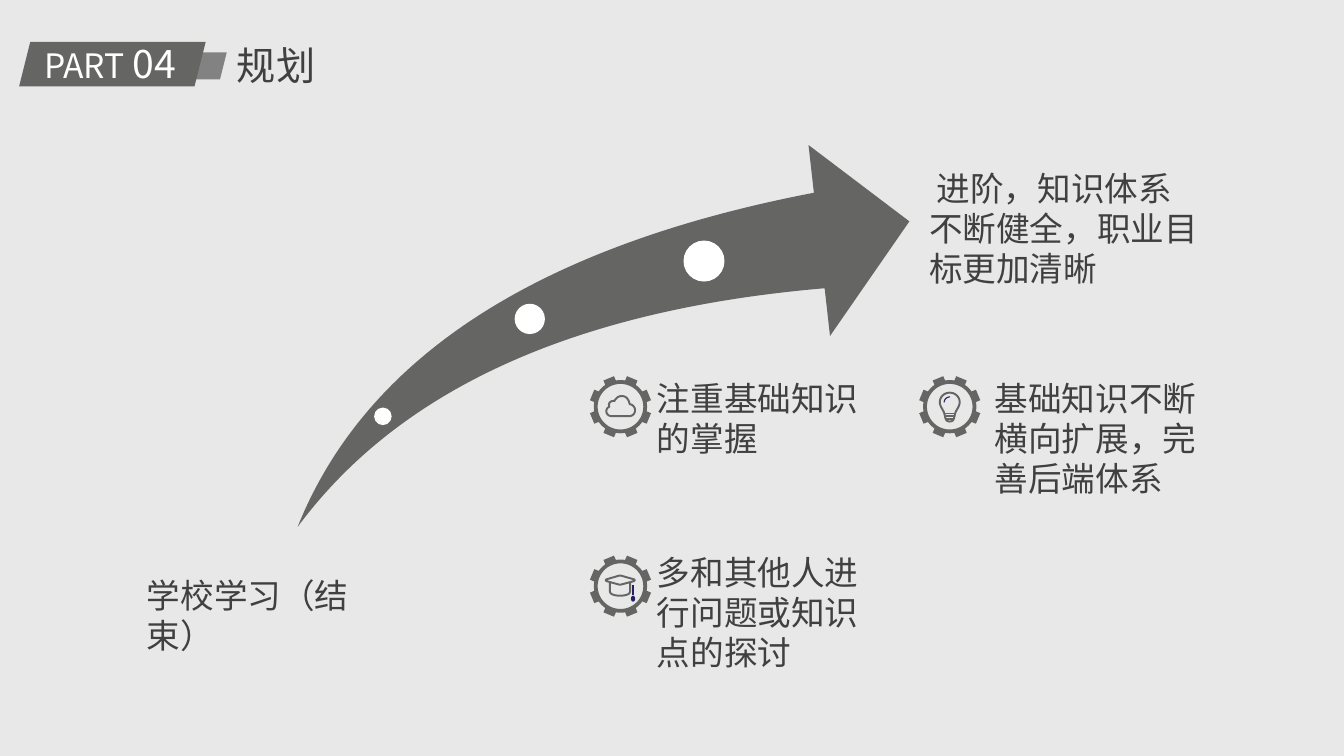
from math import cos, radians, sin

from lxml import etree
from pptx import Presentation
from pptx.dml.color import RGBColor
from pptx.enum.shapes import MSO_SHAPE
from pptx.enum.text import MSO_ANCHOR, MSO_AUTO_SIZE, PP_ALIGN
from pptx.oxml.ns import qn
from pptx.util import Pt

PARALLELOGRAM = MSO_SHAPE.PARALLELOGRAM
ELLIPSE = MSO_SHAPE.OVAL
SWOOSH = MSO_SHAPE.SWOOSH_ARROW
TOP = MSO_ANCHOR.TOP
NO_AUTOSIZE = MSO_AUTO_SIZE.NONE
LEFT = PP_ALIGN.LEFT

FONT = "Noto Sans CJK SC"
COLORS = {
    "background": "E8E8E8",
    "dark": "656564",
    "tab": "828282",
    "text": "404040",
    "white": "FFFFFF",
    "navy": "262261",
}
STROKE = 1.4

# Icon strokes are relative to the gear centre: a start point, then
# (x, y) for a line or (x1, y1, x2, y2, x, y) for a curve.
CLOUD = [
    (-6.1, 6.8), (6.1, 6.8),
    (8.6, 6.8, 10.4, 5, 10.4, 2.7),
    (10.4, 0.4, 9, -1.4, 6.5, -1.8),
    (6.1, -5, 4, -7.6, 1.1, -7.6),
    (-1.4, -7.6, -3.2, -6.2, -4.3, -4),
    (-6.5, -4.6, -9.2, -2.6, -7.9, 0),
    (-9.4, 0.8, -10.1, 2, -10.1, 3.2),
    (-10.1, 5.4, -8.3, 6.8, -6.1, 6.8),
]
BULB = [
    (0, -10),
    (4, -10, 7.1, -7, 7.1, -3.2),
    (7.1, -0.2, 4.6, 2.2, 3.8, 5),
    (3.1, 8.5, 2.8, 10.6, 0, 10.6),
    (-2.8, 10.6, -3.1, 8.5, -3.8, 5),
    (-4.6, 2.2, -7.1, -0.2, -7.1, -3.2),
    (-7.1, -7, -4, -10, 0, -10),
]
BULB_RINGS = [(3.6, 4.8), (3, 6.8), (2.4, 8.8)]
BULB_GLINT = [(-4, -3), (-4, -5.2, -2, -7, 0.3, -7)]
CAP_BOARD = [
    (-9.6, -5), (-0.8, -7.6), (0.2, -7.6), (9.2, -5),
    (10.4, -4.7, 10.4, -3.9, 9.2, -3.5), (0.2, -1.1), (-0.8, -1.1),
    (-9.6, -3.5), (-10.8, -3.9, -10.8, -4.7, -9.6, -5),
]
CAP_BODY = [(-7.5, -2.6), (-7.5, 4), (-7.5, 7.8, 6.9, 7.8, 6.9, 4), (6.9, -2.6)]
CAP_TASSEL = [(9, -0.8), (9, 6)]


def color(name):
    return RGBColor.from_string(COLORS[name])


def paint(shape, fill):
    shape.shadow.inherit = False
    shape.fill.solid()
    shape.fill.fore_color.rgb = color(fill)
    shape.line.fill.background()


def add_preset(slide, kind, left, top, width, height, fill):
    shape = slide.shapes.add_shape(kind, Pt(left), Pt(top), Pt(width), Pt(height))
    paint(shape, fill)
    return shape


def add_milestone(slide, center_x, center_y, size):
    dot = add_preset(slide, ELLIPSE, center_x - size / 2, center_y - size / 2,
                     size, size, "white")
    dot.line.color.rgb = color("white")
    dot.line.width = Pt(1)


def format_text(shape, runs, ink):
    """Fill a text shape with one paragraph of (text, size) runs."""
    frame = shape.text_frame
    frame.word_wrap = True
    frame.auto_size = NO_AUTOSIZE
    frame.vertical_anchor = TOP
    frame.margin_top = Pt(4.6)
    frame.margin_bottom = Pt(3.6)
    paragraph = frame.paragraphs[0]
    paragraph.alignment = LEFT
    paragraph.line_spacing = Pt(1.2 * max(size for _, size in runs))
    for text, size in runs:
        run = paragraph.add_run()
        run.text = text
        run.font.size = Pt(size)
        run.font.color.rgb = color(ink)
        run.font.name = FONT
        east_asian = etree.SubElement(run.font._element, qn("a:ea"))
        east_asian.set("typeface", FONT)


def add_text(slide, left, top, width, height, runs, ink="text"):
    box = slide.shapes.add_textbox(Pt(left), Pt(top), Pt(width), Pt(height))
    format_text(box, runs, ink)


def flatten(steps, samples=10):
    """Turn a start point, lines and cubic curves into plain points."""
    points = [steps[0]]
    for step in steps[1:]:
        if len(step) == 2:
            points.append(step)
            continue
        x0, y0 = points[-1]
        x1, y1, x2, y2, x3, y3 = step
        for index in range(1, samples + 1):
            t = index / samples
            u = 1 - t
            a, b, c, d = u ** 3, 3 * u * u * t, 3 * u * t * t, t ** 3
            points.append((a * x0 + b * x1 + c * x2 + d * x3,
                           a * y0 + b * y1 + c * y2 + d * y3))
    return points


def add_outline(slide, center, contours, close):
    """Build one freeform from contours given relative to a centre."""
    placed = [[(Pt(center[0] + x), Pt(center[1] + y)) for x, y in contour]
              for contour in contours]
    builder = slide.shapes.build_freeform(*placed[0][0])
    builder.add_line_segments(placed[0][1:], close=close)
    for contour in placed[1:]:
        builder.move_to(*contour[0])
        builder.add_line_segments(contour[1:], close=close)
    return builder.convert_to_shape()


def add_stroke(slide, center, steps, ink="dark", width=STROKE):
    shape = add_outline(slide, center, [flatten(steps)], steps[0] == steps[-1][-2:])
    shape.shadow.inherit = False
    shape.fill.background()
    shape.line.color.rgb = color(ink)
    shape.line.width = Pt(width)


def polar(radius, degrees):
    return radius * cos(radians(degrees)), radius * sin(radians(degrees))


def add_gear(slide, center):
    """Draw a ring with eight teeth."""
    body, tip, hole = 19, 22.3, 16.3
    rim = []
    for tooth in range(8):
        middle = 22.5 + 45 * tooth
        profile = [(body, -12.5), (tip, -10.5), (tip, 10.5), (body, 12.5),
                   (body, 17.5), (body, 22.5), (body, 27.5)]
        rim += [polar(radius, middle + offset) for radius, offset in profile]
    inner = [polar(hole, -angle) for angle in range(0, 360, 6)]
    paint(add_outline(slide, center, [rim, inner], True), "dark")


def add_cloud(slide, center):
    add_stroke(slide, center, CLOUD)


def add_bulb(slide, center):
    add_stroke(slide, center, BULB)
    for half, y in BULB_RINGS:
        add_stroke(slide, center, [(-half, y), (half, y)], width=1)
    add_stroke(slide, center, BULB_GLINT, "navy", 0.8)


def add_cap(slide, center):
    for steps in (CAP_BOARD, CAP_BODY):
        add_stroke(slide, center, steps)
    add_stroke(slide, center, CAP_TASSEL, "navy")
    add_preset(slide, ELLIPSE, center[0] + 7.5, center[1] + 6.8, 3, 4.3, "navy")


def main():
    presentation = Presentation()
    presentation.slide_width, presentation.slide_height = Pt(960), Pt(540)
    slide = presentation.slides.add_slide(presentation.slide_layouts[5])
    slide.background.fill.solid()
    slide.background.fill.fore_color.rgb = color("background")

    add_preset(slide, PARALLELOGRAM, 123.1, 37.4, 38.9, 19.4, "tab")
    add_preset(slide, PARALLELOGRAM, 13.7, 30, 133.2, 31.7, "dark")
    add_text(slide, 24.5, 23.8, 110.9, 41, [("PART ", 24), ("04", 28)], "white")
    title = slide.shapes.title
    title.left, title.top, title.width, title.height = Pt(162), Pt(25.2), Pt(275), Pt(41)
    format_text(title, [("规划", 28)], "text")

    arrow = add_preset(slide, SWOOSH, 212.6, 103.6, 437, 272.8, "dark")
    arrow.adjustments[0] = arrow.adjustments[1] = 0.25
    for milestone in [(273.5, 297.4, 11.5), (378.4, 227.8, 20.6), (502.9, 186.5, 28.3)]:
        add_milestone(slide, *milestone)

    for add_icon, center in [(add_cap, (443.2, 418.7)), (add_bulb, (678.4, 290.5)),
                             (add_cloud, (443.2, 290.5))]:
        add_gear(slide, center)
        add_icon(slide, center)

    for left, top, width, height, text in [
        (462.2, 265, 164.2, 65.5, "注重基础知识的掌握"),
        (703.4, 265, 164.2, 94.3, "基础知识不断横向扩展，完善后端体系"),
        (462.2, 389.5, 164.2, 94.3, "多和其他人进行问题或知识点的探讨"),
        (97.9, 406.1, 184.3, 65.5, "学校学习（结束）"),
        (656.6, 115.2, 208.8, 94.3, " 进阶，知识体系不断健全，职业目标更加清晰"),
    ]:
        add_text(slide, left, top, width, height, [(text, 24)])

    presentation.save("out.pptx")


if __name__ == "__main__":
    main()
